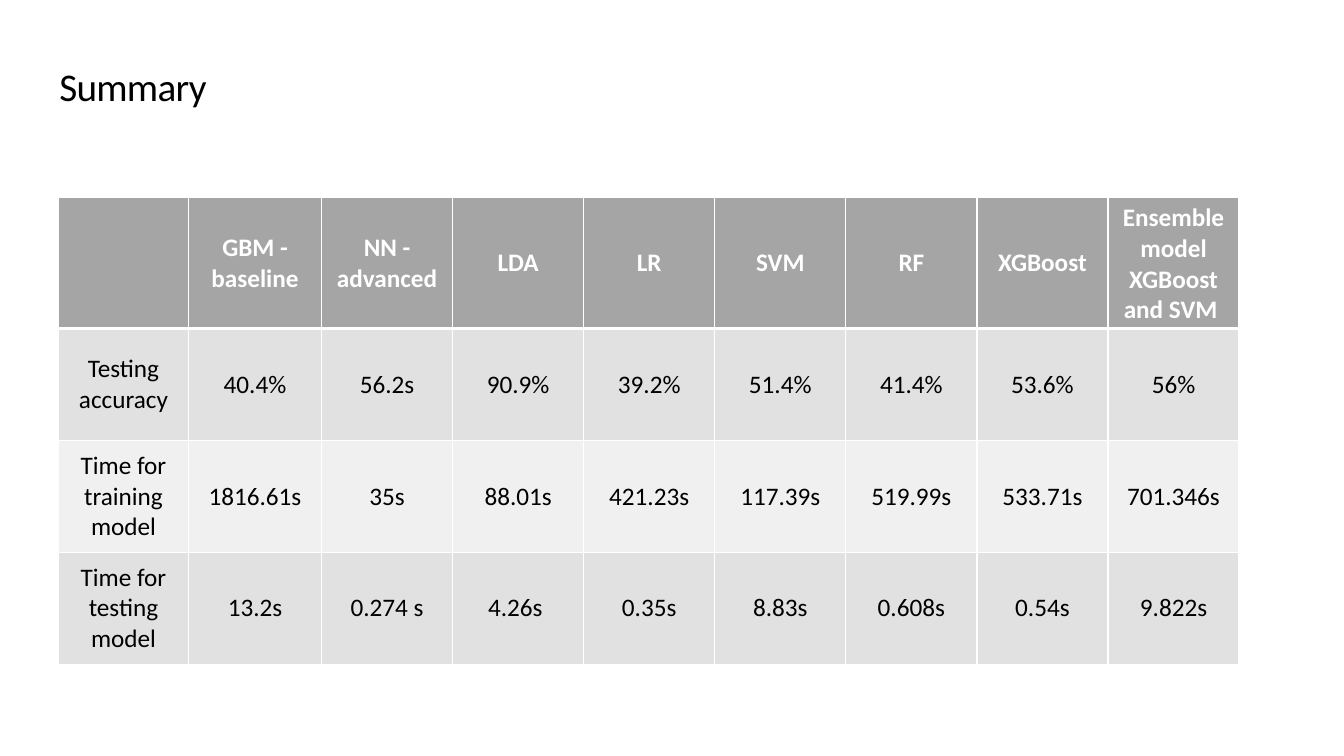
from lxml import etree
from pptx import Presentation
from pptx.dml.color import RGBColor
from pptx.enum import text
from pptx.oxml import ns
from pptx.util import Inches, Pt


def style_run(run, size, color, bold=False):
    run.font.name = "Calibri"
    run.font.size = Pt(size)
    run.font.bold = bold
    run.font.color.rgb = RGBColor.from_string(color)


def add_borders(cell, color, widths):
    # Border lines must come before the fill in the cell properties
    properties = cell._tc.get_or_add_tcPr()
    for position, (side, width) in enumerate(widths.items()):
        line = etree.Element(ns.qn(f"a:ln{side}"), w=str(Pt(width)))
        fill = etree.SubElement(line, ns.qn("a:solidFill"))
        etree.SubElement(fill, ns.qn("a:srgbClr"), val=color)
        properties.insert(position, line)


prs = Presentation()
prs.slide_width, prs.slide_height = Inches(13.33), Inches(7.5)
slide = prs.slides.add_slide(prs.slide_layouts[6])

# Title
title = slide.shapes.add_textbox(Inches(0.49), Inches(0.44), Inches(6.5), Inches(0.7)).text_frame
title.word_wrap = True
title.vertical_anchor = text.MSO_ANCHOR.BOTTOM
heading = title.paragraphs[0]
heading.line_spacing = 0.9
heading.space_after = Pt(6)
summary = heading.add_run()
summary.text = "Summary"
style_run(summary, 28, "000000")
summary.font._element.set("spc", "-50")

# Model results
results = [
    ["", "GBM - baseline", "NN - advanced", "LDA", "LR", "SVM", "RF", "XGBoost",
     "Ensemble model XGBoost and SVM "],
    ["Testing accuracy", "40.4%", "56.2s", "90.9%", "39.2%", "51.4%", "41.4%", "53.6%", "56%"],
    ["Time for training model", "1816.61s", "35s", "88.01s", "421.23s", "117.39s", "519.99s",
     "533.71s", "701.346s"],
    ["Time for testing model", "13.2s", "0.274 s", "4.26s ", "0.35s", "8.83s", "0.608s",
     "0.54s", "9.822s"],
]
row_fills = ["A5A5A5", "E1E1E1", "F0F0F0", "E1E1E1"]
column_widths = [1.29, 1.32] + [1.3] * 7

# Table
table = slide.shapes.add_table(len(results), len(column_widths), Inches(0.58), Inches(1.96),
                               Inches(sum(column_widths)), Inches(4.44)).table
for column, width in zip(table.columns, column_widths):
    column.width = Inches(width)

for r, (values, row_fill) in enumerate(zip(results, row_fills)):
    table.rows[r].height = Inches(1.11)
    is_header = r == 0
    borders = {"L": 1, "R": 1, "T": 3 if r == 1 else 1, "B": 3 if is_header else 1}
    for c, value in enumerate(values):
        cell = table.cell(r, c)
        cell.vertical_anchor = text.MSO_ANCHOR.MIDDLE
        cell.fill.solid()
        cell.fill.fore_color.rgb = RGBColor.from_string(row_fill)
        add_borders(cell, "FFFFFF", borders)
        if value:
            paragraph = cell.text_frame.paragraphs[0]
            paragraph.alignment = text.PP_ALIGN.CENTER
            run = paragraph.add_run()
            run.text = value
            style_run(run, 18, "FFFFFF" if is_header else "000000", is_header)

prs.save("out.pptx")
